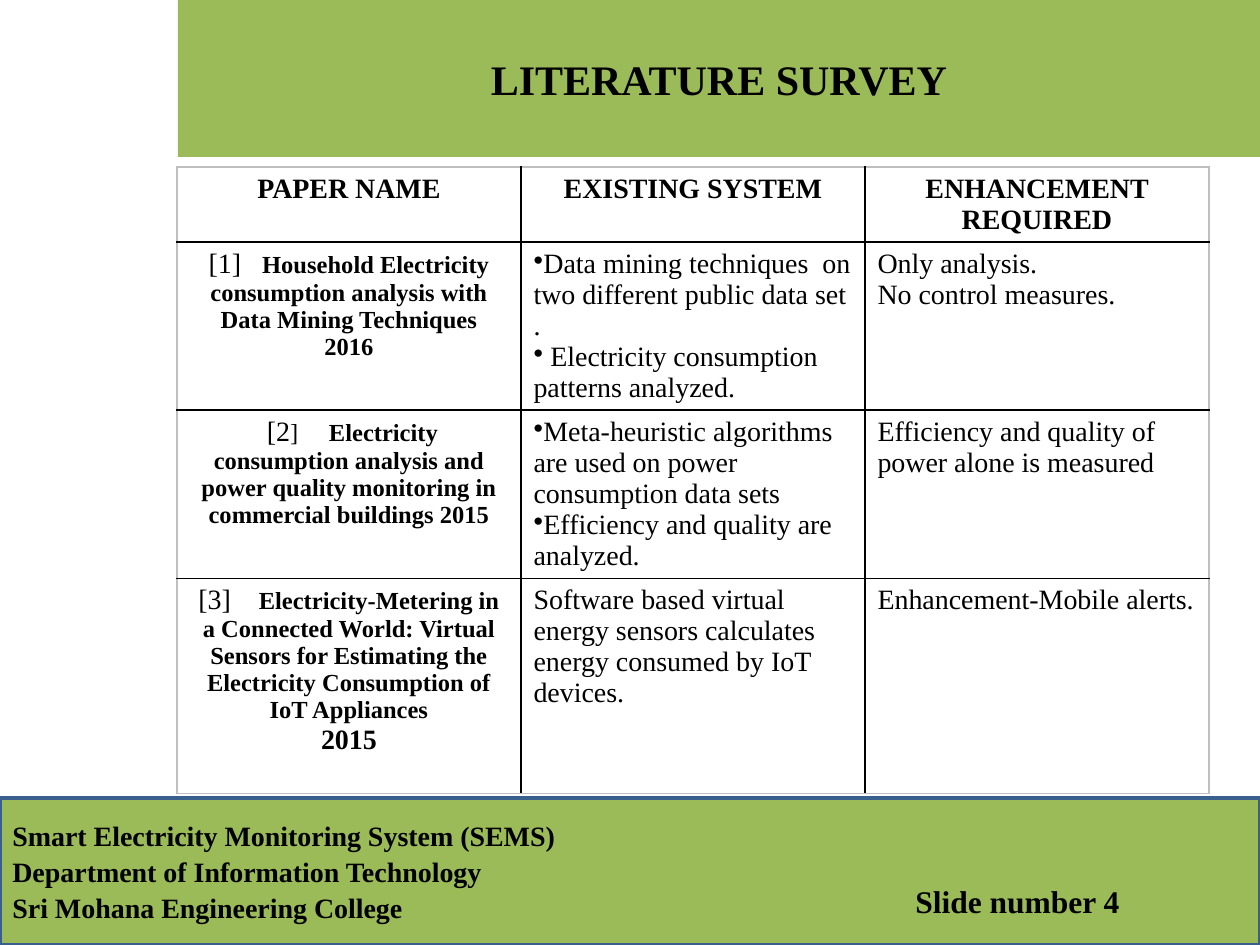
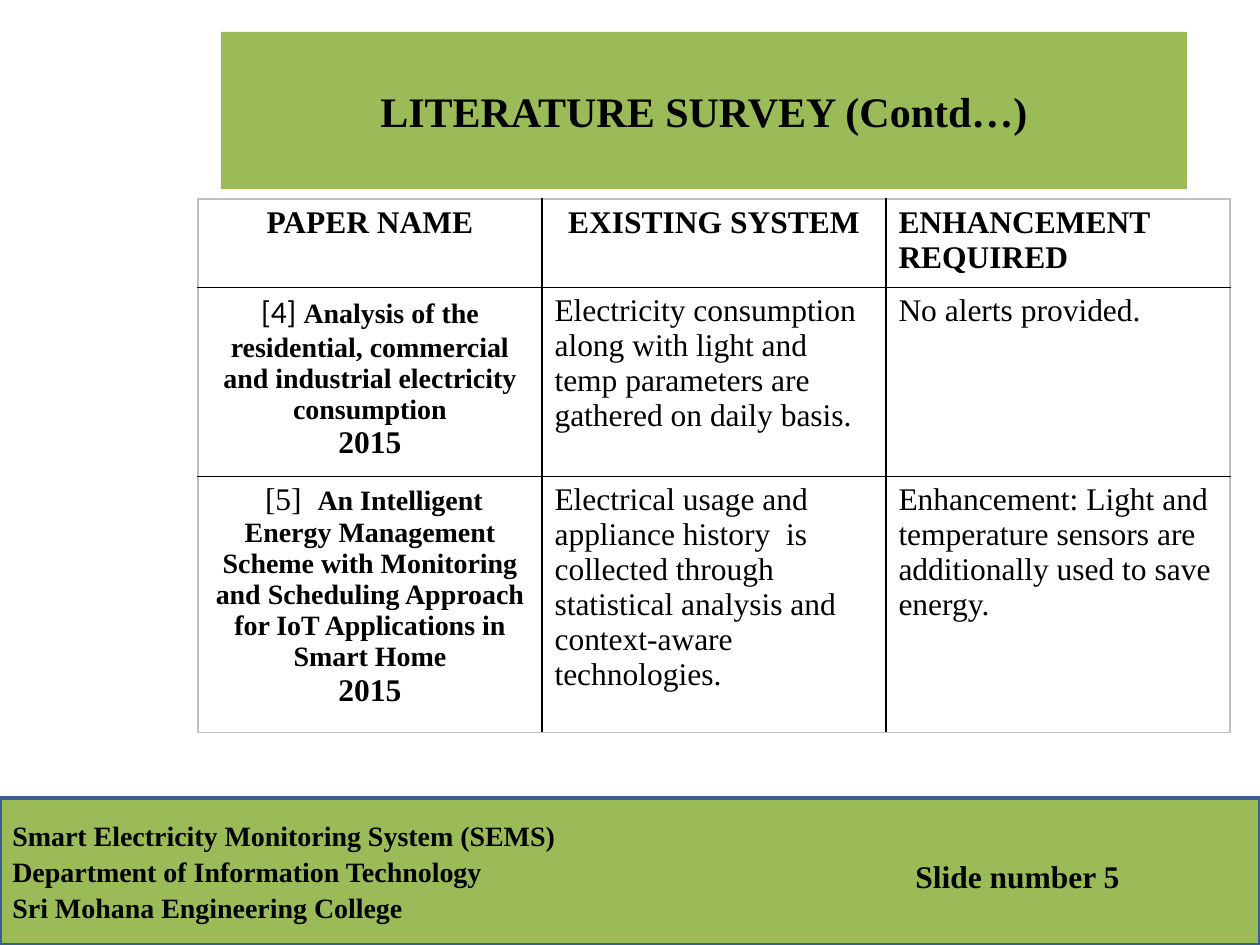
import pptx
import pptx.dml.color
import pptx.enum.shapes
import pptx.enum.text
import pptx.oxml.ns
import pptx.util
from lxml import etree

PX = 914400 / 126
FONT = "Times New Roman"
GREEN, NAVY, BLACK, GREY = "9BBB59", "3A5F8C", "000000", "BFBFBF"
LEFT = pptx.enum.text.PP_ALIGN.LEFT
CENTER = pptx.enum.text.PP_ALIGN.CENTER
MIDDLE = pptx.enum.text.MSO_ANCHOR.MIDDLE

FOOTER = ["Smart Electricity Monitoring System (SEMS)",
          "Department of Information Technology",
          "Sri Mohana Engineering College"]
HEADER = ["PAPER NAME", "EXISTING SYSTEM", "ENHANCEMENT REQUIRED"]
COLUMN_WIDTH = 344

# A paper is a list of paragraphs, each a list of (text, size, bold, font).
# The other two cells are lists of lines; a leading • makes a bullet.
SLIDES = [
    {
        "title": "LITERATURE SURVEY", "title_at": (178, 0, 1082, 157),
        "number": "Slide number 4", "number_top": 876,
        "table_at": (177, 167), "row_heights": [75, 168, 168, 215],
        "size": 16, "header_aligns": [CENTER, CENTER, CENTER],
        "rows": [
            ([[("[1]   ", 16, False, FONT),
               ("Household Electricity consumption analysis with Data Mining Techniques",
                14, True, FONT)],
              [("2016", 14, True, FONT)]],
             ["•Data mining techniques  on two different public data set .",
              "• Electricity consumption patterns analyzed."],
             ["Only analysis.", "No control measures."]),
            ([[(" [2", 16, False, FONT), ("]     ", 14, False, FONT),
               ("Electricity consumption analysis and power quality monitoring in "
                "commercial buildings 2015", 14, True, FONT)]],
             ["•Meta-heuristic algorithms are used on power consumption data sets",
              "•Efficiency and quality are analyzed."],
             ["Efficiency and quality of power alone is measured"]),
            ([[("[3]    ", 16, False, FONT),
               ("Electricity-Metering in a Connected World: Virtual Sensors for Estimating "
                "the Electricity Consumption of IoT Appliances", 14, True, FONT)],
              [("2015", 16, True, FONT)]],
             ["Software based virtual energy sensors calculates energy consumed by IoT devices."],
             ["Enhancement-Mobile alerts."]),
        ],
    },
    {
        "title": "LITERATURE SURVEY (Contd…)", "title_at": (221, 32, 966, 157),
        "number": "Slide number 5", "number_top": 851,
        "table_at": (198, 199), "row_heights": [83, 187, 241],
        "size": 18, "header_aligns": [CENTER, CENTER, LEFT],
        "rows": [
            ([[("[4] ", 18, False, "Calibri"),
               ("Analysis of the residential, commercial and industrial electricity consumption",
                16, True, FONT)],
              [("2015", 18, True, FONT)]],
             ["Electricity consumption along with light and temp parameters are gathered "
              "on daily basis."],
             ["No alerts provided."]),
            ([[(" [5]  ", 18, False, FONT),
               ("An Intelligent Energy Management Scheme with Monitoring and Scheduling "
                "Approach for IoT Applications in Smart Home", 16, True, FONT)],
              [("2015", 18, True, FONT)]],
             ["Electrical usage and appliance history  is collected through statistical "
              "analysis and context-aware technologies."],
             ["Enhancement: Light and temperature sensors are additionally used to save energy."]),
        ],
    },
]


def px(*lengths):
    return [round(length * PX) for length in lengths]


def color(value):
    return pptx.dml.color.RGBColor.from_string(value)


def plain(lines, size, bold):
    """Turn lines into paragraphs of one run each."""
    return [[(line, size, bold, FONT)] for line in lines]


def add_bullet(para):
    properties = para._p.get_or_add_pPr()
    properties.set("marL", "0")
    properties.set("indent", "0")
    bullet = etree.SubElement(properties, pptx.oxml.ns.qn("a:buChar"))
    bullet.set("char", "•")


def write(frame, paragraphs, align=LEFT, gap=0):
    for index, runs in enumerate(paragraphs):
        para = frame.add_paragraph() if index else frame.paragraphs[0]
        para.alignment = align
        para.space_before = pptx.util.Pt(gap)
        if runs[0][0].startswith("•"):
            add_bullet(para)
        for text, size, bold, font in runs:
            span = para.add_run()
            span.text = text.removeprefix("•")
            span.font.size = pptx.util.Pt(size)
            span.font.bold = bold
            span.font.name = font
            span.font.color.rgb = color(BLACK)


def add_band(page, at, paragraphs, align, line=None, gap=0):
    band = page.shapes.add_shape(pptx.enum.shapes.MSO_SHAPE.RECTANGLE, *px(*at))
    band.shadow.inherit = False
    band.fill.solid()
    band.fill.fore_color.rgb = color(GREEN)
    if line:
        band.line.color.rgb = color(line)
        band.line.width = pptx.util.Pt(2)
    else:
        band.line.fill.background()
    band.text_frame.vertical_anchor = MIDDLE
    write(band.text_frame, paragraphs, align, gap)


def set_borders(cell, outer_sides):
    properties = cell._tc.get_or_add_tcPr()
    for index, side in enumerate(["lnL", "lnR", "lnT", "lnB"]):
        border = etree.Element(pptx.oxml.ns.qn("a:" + side), w="12700")
        fill = etree.SubElement(border, pptx.oxml.ns.qn("a:solidFill"))
        etree.SubElement(fill, pptx.oxml.ns.qn("a:srgbClr"),
                         val=GREY if side in outer_sides else BLACK)
        properties.insert(index, border)


def add_survey(page, content):
    size, heights = content["size"], content["row_heights"]
    header = [(plain([name], size, True), align)
              for name, align in zip(HEADER, content["header_aligns"])]
    grid = [header] + [
        [(paper, CENTER), (plain(existing, size, False), LEFT),
         (plain(enhancement, size, False), LEFT)]
        for paper, existing, enhancement in content["rows"]]
    last_row, last_column = len(grid) - 1, len(HEADER) - 1
    frame = page.shapes.add_table(
        len(grid), len(HEADER),
        *px(*content["table_at"], COLUMN_WIDTH * len(HEADER), sum(heights)))
    table = frame.table
    table.first_row = table.horz_banding = False
    for column in table.columns:
        column.width = px(COLUMN_WIDTH)[0]
    for r, cells in enumerate(grid):
        table.rows[r].height = px(heights[r])[0]
        for c, (paragraphs, align) in enumerate(cells):
            cell = table.cell(r, c)
            cell.fill.background()
            edges = {"lnL": c == 0, "lnR": c == last_column,
                     "lnT": r == 0, "lnB": r == last_row}
            set_borders(cell, [side for side, outer in edges.items() if outer])
            write(cell.text_frame, paragraphs, align)


def add_number(page, text, top):
    box = page.shapes.add_textbox(*px(903, top, 294, 50))
    box.text_frame.word_wrap = True
    box.text_frame.vertical_anchor = MIDDLE
    write(box.text_frame, plain([text], 18, True))


def main():
    deck = pptx.Presentation()
    deck.slide_width, deck.slide_height = px(1260, 945)
    for content in SLIDES:
        page = deck.slides.add_slide(deck.slide_layouts[6])
        add_survey(page, content)
        add_band(page, content["title_at"], plain([content["title"]], 24, True), CENTER)
        add_band(page, (0, 798, 1260, 147), plain(FOOTER, 16, True), LEFT, NAVY, gap=1.4)
        add_number(page, content["number"], content["number_top"])
    deck.save("out.pptx")


if __name__ == "__main__":
    main()
